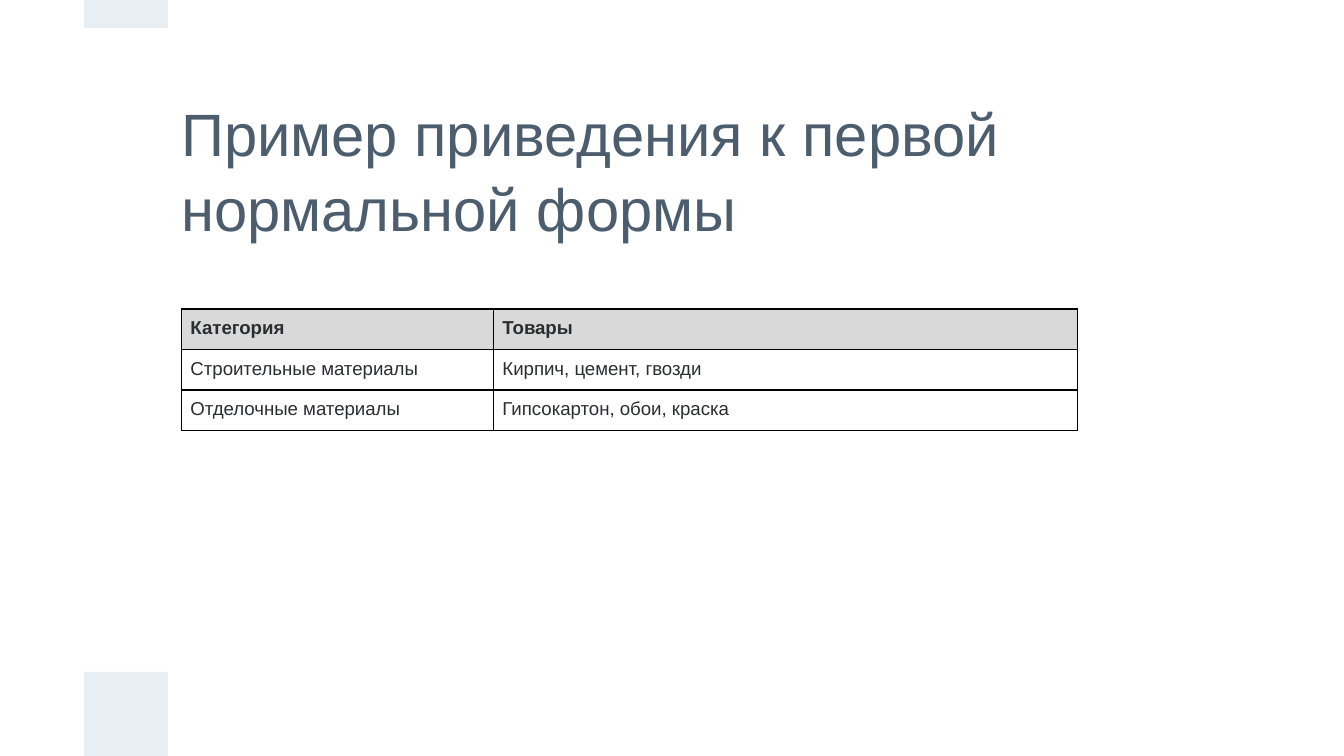
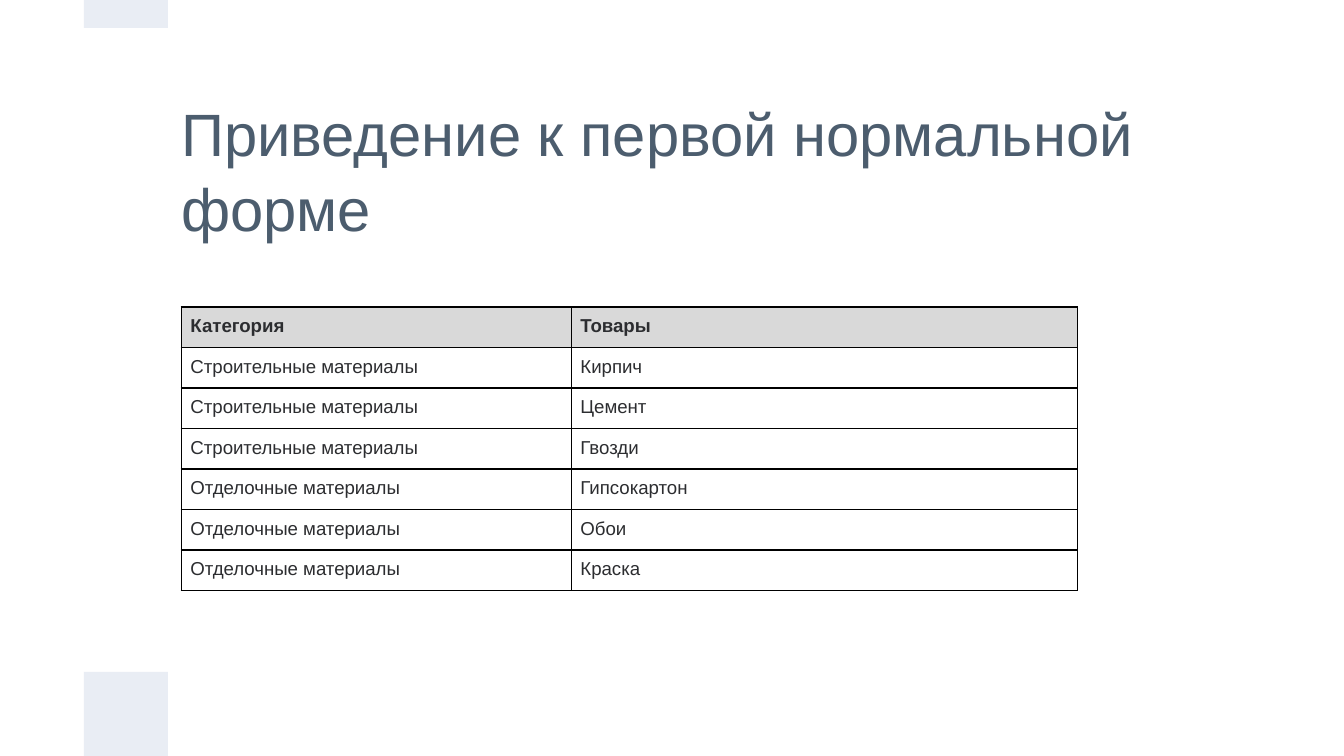
from lxml import etree
from pptx import Presentation
from pptx.dml.color import RGBColor
from pptx.enum.shapes import MSO_SHAPE
from pptx.enum.text import MSO_ANCHOR
from pptx.oxml.ns import qn
from pptx.util import Pt

RECT = MSO_SHAPE.RECTANGLE
MIDDLE = MSO_ANCHOR.MIDDLE

# Content
BUILD, FINISH = "Строительные материалы", "Отделочные материалы"
HEAD = ("Категория", "Товары")
SLIDES = [
    {
        "title": "Пример приведения к первой нормальной формы",
        "top": 309,
        "cols": (312, 584),
        "rows": [
            HEAD,
            (BUILD, "Кирпич, цемент, гвозди"),
            (FINISH, "Гипсокартон, обои, краска"),
        ],
    },
    {
        "title": "Приведение к первой нормальной форме",
        "top": 307,
        "cols": (390, 506),
        "rows": [
            HEAD,
            (BUILD, "Кирпич"),
            (BUILD, "Цемент"),
            (BUILD, "Гвозди"),
            (FINISH, "Гипсокартон"),
            (FINISH, "Обои"),
            (FINISH, "Краска"),
        ],
    },
]

# Shared look
FONT = "Arial"
SLATE = RGBColor(0x4C, 0x5D, 0x6E)
INK = RGBColor(0x2C, 0x2D, 0x30)
PALE = RGBColor(0xE9, 0xED, 0xF4)
GREY = RGBColor(0xD9, 0xD9, 0xD9)
BLACK = RGBColor(0, 0, 0)
WIDTH, HEIGHT = 1344, 756
UNIT = 84
BANDS = [(HEIGHT - UNIT, UNIT), (0, 28)]
TABLE_LEFT, ROW, PAD = 181.5, 39.6, 9


def px(n):
    return round(n * 914400 / 134.4)


def add_run(par, text, size, color, bold=False):
    run = par.add_run()
    run.text = text
    font = run.font
    font.name, font.size, font.bold = FONT, Pt(size), bold
    font.color.rgb = color


def add_bands(slide):
    for top, height in BANDS:
        band = slide.shapes.add_shape(RECT, px(UNIT), px(top), px(UNIT), px(height))
        band.shadow.inherit = False
        band.fill.solid()
        band.fill.fore_color.rgb = PALE
        band.line.fill.background()


def add_title(slide, text):
    box = slide.shapes.add_textbox(px(2 * UNIT), px(UNIT), px(12 * UNIT), px(2 * UNIT))
    frame = box.text_frame
    frame.word_wrap = True
    frame.vertical_anchor = MIDDLE
    frame.margin_left = frame.margin_right = px(13.44)
    frame.margin_top = frame.margin_bottom = px(13.44)
    par = frame.paragraphs[0]
    par.line_spacing = 1.05
    add_run(par, text, 32, SLATE)


def add_borders(cell):
    props = cell._tc.get_or_add_tcPr()
    for side in ("a:lnL", "a:lnR", "a:lnT", "a:lnB"):
        line = etree.SubElement(props, qn(side), w=str(Pt(1)))
        fill = etree.SubElement(line, qn("a:solidFill"))
        etree.SubElement(fill, qn("a:srgbClr"), val=str(BLACK))


def add_grid(slide, top, cols, rows):
    frame = slide.shapes.add_table(
        len(rows), len(cols), px(TABLE_LEFT), px(top), px(sum(cols)), px(ROW * len(rows)))
    table = frame.table
    table.horz_banding = False
    for col, width in zip(table.columns, cols):
        col.width = px(width)
    for r, texts in enumerate(rows):
        table.rows[r].height = px(ROW)
        for c, text in enumerate(texts):
            cell = table.cell(r, c)
            cell.margin_left = cell.margin_right = px(PAD)
            cell.margin_top = cell.margin_bottom = px(PAD)
            add_borders(cell)
            if r == 0:
                cell.fill.solid()
                cell.fill.fore_color.rgb = GREY
            else:
                cell.fill.background()
            add_run(cell.text_frame.paragraphs[0], text, 10, INK, r == 0)


# Build
deck = Presentation()
deck.slide_width, deck.slide_height = px(WIDTH), px(HEIGHT)
for page in SLIDES:
    slide = deck.slides.add_slide(deck.slide_layouts[6])
    add_title(slide, page["title"])
    add_bands(slide)
    add_grid(slide, page["top"], page["cols"], page["rows"])
deck.save("out.pptx")
